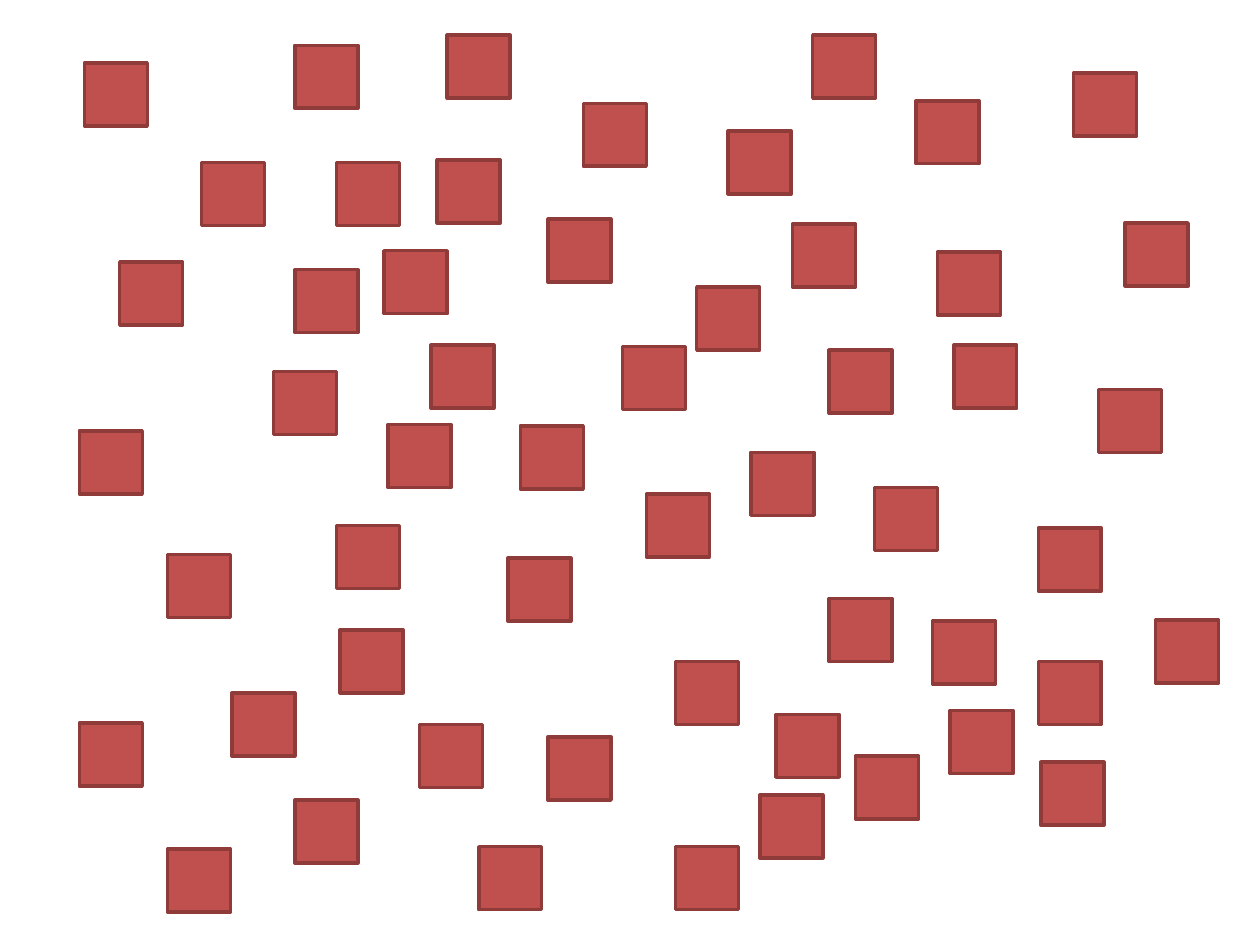
from pptx import Presentation
from pptx.dml.color import RGBColor
from pptx.enum.shapes import MSO_SHAPE
from pptx.util import Cm, Pt

RED = RGBColor(0xC0, 0x50, 0x4D)
DARK = RGBColor(0x8E, 0x3B, 0x39)
UNIT = 2.54
SIDE = Cm(0.5 * UNIT)

FIRST = [
    (0.67, 0.5), (0.95, 2.08), (1.6, 1.29), (0.63, 3.42), (2.17, 2.95),
    (3.05, 1.99), (2.67, 1.29), (4.35, 5.85), (1.84, 5.5), (2.67, 4.17),
    (1.33, 4.4), (3.47, 1.27), (3.42, 2.74), (2.34, 0.36), (2.34, 2.14),
    (0.63, 5.74), (3.33, 5.75), (4.94, 2.75), (3.08, 3.37), (4.63, 0.82),
    (4.35, 1.74), (6.29, 1.78),
]
TURNED = [
    (8.24, 4.19), (6.58, 4.75), (7.54, 5.64), (8.24, 5.25), (5.36, 6.72),
    (4.03, 4.43), (5.36, 5.25), (5.13, 3.92), (8.26, 6.05), (6.79, 6),
    (9.17, 4.92), (7.4, 4.93), (6.16, 5.67), (6.03, 6.31),
]
LAST = [
    (7.57, 2.74), (7.27, 0.8), (8.93, 1.77), (5.53, 2.28), (5.78, 1.04),
    (7.44, 2), (6.94, 3.87), (6.58, 2.78), (8.52, 0.58), (1.33, 6.74),
    (2.34, 6.35), (3.55, 0.28), (6.45, 0.28), (4.13, 3.38), (2.7, 5),
    (3.8, 6.72), (8.72, 3.09), (5.96, 3.59),
]


def add_squares(shapes, spots, turn=0):
    for left, top in spots:
        square = shapes.add_shape(
            MSO_SHAPE.RECTANGLE, Cm(left * UNIT), Cm(top * UNIT), SIDE, SIDE)
        square.rotation = turn
        square.shadow.inherit = False
        square.fill.solid()
        square.fill.fore_color.rgb = RED
        square.line.color.rgb = DARK
        square.line.width = Pt(2)


deck = Presentation()
deck.slide_width = Cm(25.4)
deck.slide_height = Cm(19.05)
slide = deck.slides.add_slide(deck.slide_layouts[6])

add_squares(slide.shapes, FIRST)
add_squares(slide.shapes.add_group_shape().shapes, TURNED, 90)
add_squares(slide.shapes, LAST)

deck.save("out.pptx")
